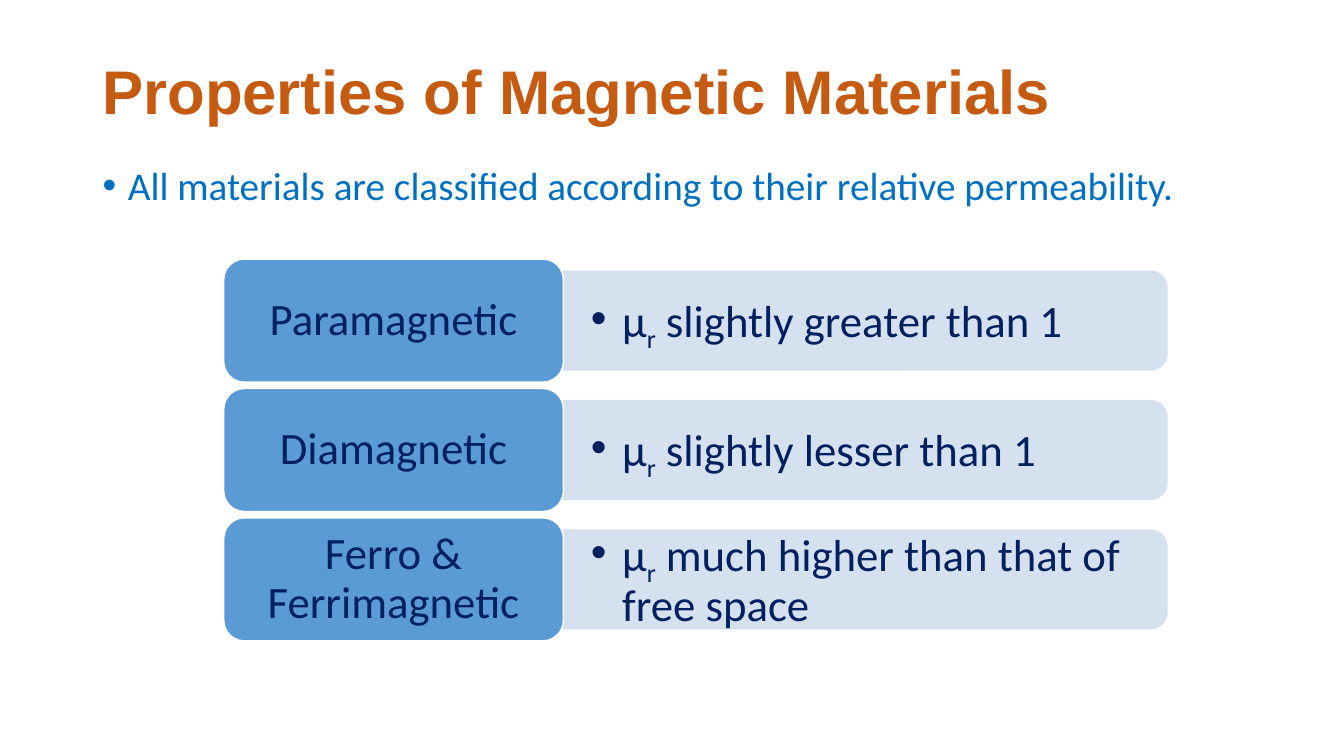
from pptx import Presentation
from pptx.dml.color import RGBColor
from pptx.enum.shapes import MSO_SHAPE as Shape
from pptx.enum.text import MSO_ANCHOR as Anchor, MSO_AUTO_SIZE as AutoSize, PP_ALIGN as Align
from pptx.oxml.ns import qn
from pptx.util import Cm, Pt
from lxml.etree import SubElement

ORANGE, BLUE, NAVY = "C55A11", "0070C0", "002060"
LABEL_FILL, PANEL_FILL, WHITE = "5B9BD5", "D2DEEF", "FFFFFF"

LABEL_LEFT, LABEL_WIDTH, LABEL_HEIGHT = 5.64, 8.56, 3.1
PANEL_LEFT, PANEL_WIDTH, PANEL_HEIGHT = 14.2, 15.21, 2.49
DETAIL_WIDTH, DETAIL_HEIGHT = 15.11, 2.24
FIRST_MIDDLE, ROW_PITCH = 8.08, 3.26

CLASSES = [
    ("Paramagnetic", "slightly greater than 1"),
    ("Diamagnetic", "slightly lesser than 1"),
    ("Ferro & Ferrimagnetic", "much higher than that of free space"),
]


def color(hex_string):
    """Turn a hex string into a colour."""
    return RGBColor.from_string(hex_string)


def place(part, left, top, width, height):
    """Move and size a part, in centimetres."""
    part.left, part.top, part.width, part.height = map(Cm, (left, top, width, height))


def style(paragraph, size, hex_color, name="Calibri", bold=False, align=Align.LEFT):
    """Set the font, alignment and line spacing of a paragraph."""
    font = paragraph.font
    font.name, font.size, font.bold = name, Pt(size), bold
    font.color.rgb = color(hex_color)
    paragraph.alignment = align
    paragraph.line_spacing = 0.9


def add_bullet(paragraph, indent):
    """Give a paragraph a round bullet with a hanging indent."""
    properties = paragraph._p.get_or_add_pPr()
    properties.set("marL", str(Cm(indent)))
    properties.set("indent", str(-Cm(indent)))
    SubElement(properties, qn("a:buFont"), typeface="Arial")
    SubElement(properties, qn("a:buChar"), char="•")


def set_frame(frame, horizontal, vertical):
    """Centre wrapped text vertically within the given insets."""
    frame.word_wrap = True
    frame.vertical_anchor = Anchor.MIDDLE
    frame.margin_left = frame.margin_right = Cm(horizontal)
    frame.margin_top = frame.margin_bottom = Cm(vertical)


def fill_placeholder(placeholder, text, box):
    """Move a placeholder, write its text and return the paragraph."""
    place(placeholder, *box)
    frame = placeholder.text_frame
    frame.text = text
    frame.auto_size = AutoSize.NONE
    return frame.paragraphs[0]


def add_block(slide, preset, box, fill, line):
    """Add a flat filled shape with a thin outline."""
    block = slide.shapes.add_shape(preset, *map(Cm, box))
    block.shadow.inherit = False
    block.fill.solid()
    block.fill.fore_color.rgb = color(fill)
    block.line.color.rgb = color(line)
    block.line.width = Pt(1)
    return block


def add_panel(slide, middle):
    """Add the pale panel, turned so that its round corners face right."""
    left = PANEL_LEFT + (PANEL_WIDTH - PANEL_HEIGHT) / 2
    box = (left, middle - PANEL_WIDTH / 2, PANEL_HEIGHT, PANEL_WIDTH)
    panel = add_block(slide, Shape.ROUND_2_SAME_RECTANGLE, box, PANEL_FILL, PANEL_FILL)
    panel.rotation = 90
    for tint in panel._element.spPr.iter(qn("a:srgbClr")):
        SubElement(tint, qn("a:alpha"), val="90000")


def add_detail(slide, middle, text):
    """Add the bulleted permeability statement over a panel."""
    box = (PANEL_LEFT, middle - DETAIL_HEIGHT / 2, DETAIL_WIDTH, DETAIL_HEIGHT)
    frame = slide.shapes.add_textbox(*map(Cm, box)).text_frame
    set_frame(frame, 0.69, 0.36)
    statement = frame.paragraphs[0]
    statement.add_run().text = "µ"
    subscript = statement.add_run()
    subscript.text = "r"
    subscript._r.get_or_add_rPr().set("baseline", "-25000")
    statement.add_run().text = f" {text}"
    style(statement, 32, NAVY)
    add_bullet(statement, 0.79)


def add_label(slide, middle, text):
    """Add the rounded box that names a class of materials."""
    box = (LABEL_LEFT, middle - LABEL_HEIGHT / 2, LABEL_WIDTH, LABEL_HEIGHT)
    label = add_block(slide, Shape.ROUNDED_RECTANGLE, box, LABEL_FILL, WHITE)
    set_frame(label.text_frame, 0.33, 0.18)
    label.text_frame.text = text
    style(label.text_frame.paragraphs[0], 32, NAVY, align=Align.CENTER)


def main():
    """Build the slide and save it."""
    deck = Presentation()
    deck.slide_width, deck.slide_height = Cm(33.87), Cm(19.05)
    slide = deck.slides.add_slide(deck.slide_layouts[1])
    title, body = slide.placeholders

    heading = fill_placeholder(title, "Properties of Magnetic Materials", (2.33, 1.01, 29.21, 2.74))
    title.text_frame.vertical_anchor = Anchor.MIDDLE
    style(heading, 44, ORANGE, name="Arial", bold=True)

    summary = fill_placeholder(
        body,
        "All materials are classified according to their relative permeability.",
        (2.33, 4.06, 29.21, 1.5),
    )
    style(summary, 28, BLUE)
    summary.space_before = Pt(10)
    add_bullet(summary, 0.64)

    for row, (name, permeability) in enumerate(CLASSES):
        middle = FIRST_MIDDLE + row * ROW_PITCH
        add_panel(slide, middle)
        add_detail(slide, middle, permeability)
        add_label(slide, middle, name)

    deck.save("out.pptx")


if __name__ == "__main__":
    main()
